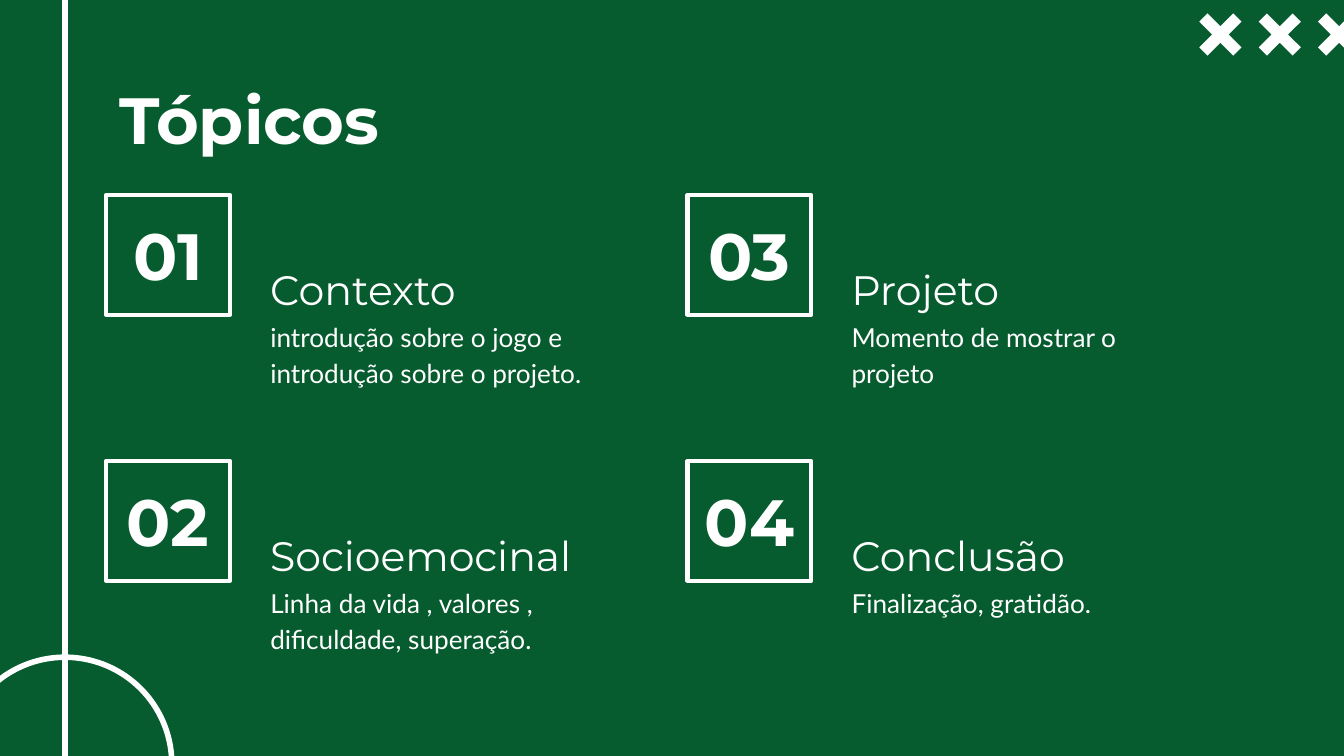
from lxml import etree
from pptx import Presentation
from pptx.dml.color import RGBColor
from pptx.enum.shapes import MSO_CONNECTOR, MSO_SHAPE
from pptx.enum.text import MSO_ANCHOR, PP_ALIGN
from pptx.oxml.ns import qn
from pptx.util import Pt

GREEN = RGBColor(0x07, 0x5C, 0x2F)
WHITE = RGBColor(0xFF, 0xFF, 0xFF)
HEADING_FONT = "Montserrat"
BODY_FONT = "Lato"
STRAIGHT = MSO_CONNECTOR.STRAIGHT
OVAL, RECTANGLE = MSO_SHAPE.OVAL, MSO_SHAPE.RECTANGLE
TOP, MIDDLE, BOTTOM = MSO_ANCHOR.TOP, MSO_ANCHOR.MIDDLE, MSO_ANCHOR.BOTTOM
LEFT, CENTER = PP_ALIGN.LEFT, PP_ALIGN.CENTER

MARGIN = 56.9
COLUMN_STEP = 311.4
FIRST_ROW = 104.4
ROW_STEP = 142.5
LINE_X = 34.8

# Topics run down the first column, then down the second
TOPICS = [
    ("Contexto", "introdução sobre o jogo e introdução sobre o projeto."),
    ("Socioemocinal", "Linha da vida , valores , dificuldade, superação."),
    ("Projeto", "Momento de mostrar o projeto"),
    ("Conclusão", "Finalização, gratidão."),
]


def write_text(shape, text, size, font_name, bold=False, anchor=TOP,
               alignment=LEFT, spacing=1.0):
    frame = shape.text_frame
    frame.word_wrap = True
    frame.vertical_anchor = anchor
    frame.margin_left = frame.margin_right = Pt(7.2)
    frame.margin_top = frame.margin_bottom = Pt(7.2)
    paragraph = frame.paragraphs[0]
    paragraph.text = text
    paragraph.alignment = alignment
    paragraph.line_spacing = spacing
    font = paragraph.font
    font.size, font.name, font.bold = Pt(size), font_name, bold
    font.color.rgb = WHITE


def add_text(slide, left, top, width, height, text, size, font_name, **style):
    box = slide.shapes.add_textbox(Pt(left), Pt(top), Pt(width), Pt(height))
    write_text(box, text, size, font_name, **style)


def add_outline(slide, kind, left, top, width, height, line_width):
    shape = slide.shapes.add_shape(kind, Pt(left), Pt(top), Pt(width), Pt(height))
    shape.shadow.inherit = False
    shape.fill.background()
    shape.line.color.rgb = WHITE
    shape.line.width = Pt(line_width)
    # Rounded line corners
    etree.SubElement(shape.line._get_or_add_ln(), qn("a:round"))
    return shape


def add_vertical_line(slide, x, top, bottom):
    line = slide.shapes.add_connector(STRAIGHT, Pt(x), Pt(bottom), Pt(x), Pt(top))
    line.line.color.rgb = WHITE
    line.line.width = Pt(3)
    etree.SubElement(line._element.spPr, qn("a:effectLst"))


def add_cross(slide, center_x, center_y):
    # One arm, turned by a quarter four times
    arm = [(-11.3, 6.9), (-6.9, 11.3), (0, 4.4)]
    points = []
    for _ in range(4):
        points += arm
        arm = [(y, -x) for x, y in arm]
    corners = [(Pt(center_x + x), Pt(center_y + y)) for x, y in points]
    builder = slide.shapes.build_freeform(*corners[0])
    builder.add_line_segments(corners[1:], close=True)
    cross = builder.convert_to_shape()
    cross.shadow.inherit = False
    cross.fill.solid()
    cross.fill.fore_color.rgb = WHITE
    cross.line.fill.background()


def add_topic(slide, left, top, number, heading, description):
    square = add_outline(slide, RECTANGLE, left, top, 66.3, 64.2, 2.25)
    write_text(square, f"{number:02d}", 35, HEADING_FONT, bold=True,
               anchor=MIDDLE, alignment=CENTER)
    text_left = left + 80.8
    add_text(slide, text_left, top + 6.5, 201.6, 64.2, heading, 22,
             HEADING_FONT, anchor=BOTTOM, spacing=1.15)
    add_text(slide, text_left, top + 58.3, 182.3, 45.4, description, 14,
             BODY_FONT, spacing=1.15)


def main():
    presentation = Presentation()
    presentation.slide_width, presentation.slide_height = Pt(720), Pt(405)
    slide = presentation.slides.add_slide(presentation.slide_layouts[6])
    slide.background.fill.solid()
    slide.background.fill.fore_color.rgb = GREEN

    # Pitch markings
    diameter = 114.5
    add_outline(slide, OVAL, LINE_X - diameter / 2, 352.1, diameter, diameter, 3)
    add_vertical_line(slide, LINE_X, -4.3, 406)

    # Corner crosses
    for index in range(3):
        add_cross(slide, 653.8 + index * 31.8, 18.5)

    # Title and topic grid
    add_text(slide, MARGIN, 35.3, 607, 45.4, "Tópicos", 35, HEADING_FONT, bold=True)
    for index, (heading, description) in enumerate(TOPICS):
        column, row = divmod(index, 2)
        add_topic(slide, MARGIN + column * COLUMN_STEP, FIRST_ROW + row * ROW_STEP,
                  index + 1, heading, description)

    presentation.save("out.pptx")


if __name__ == "__main__":
    main()
